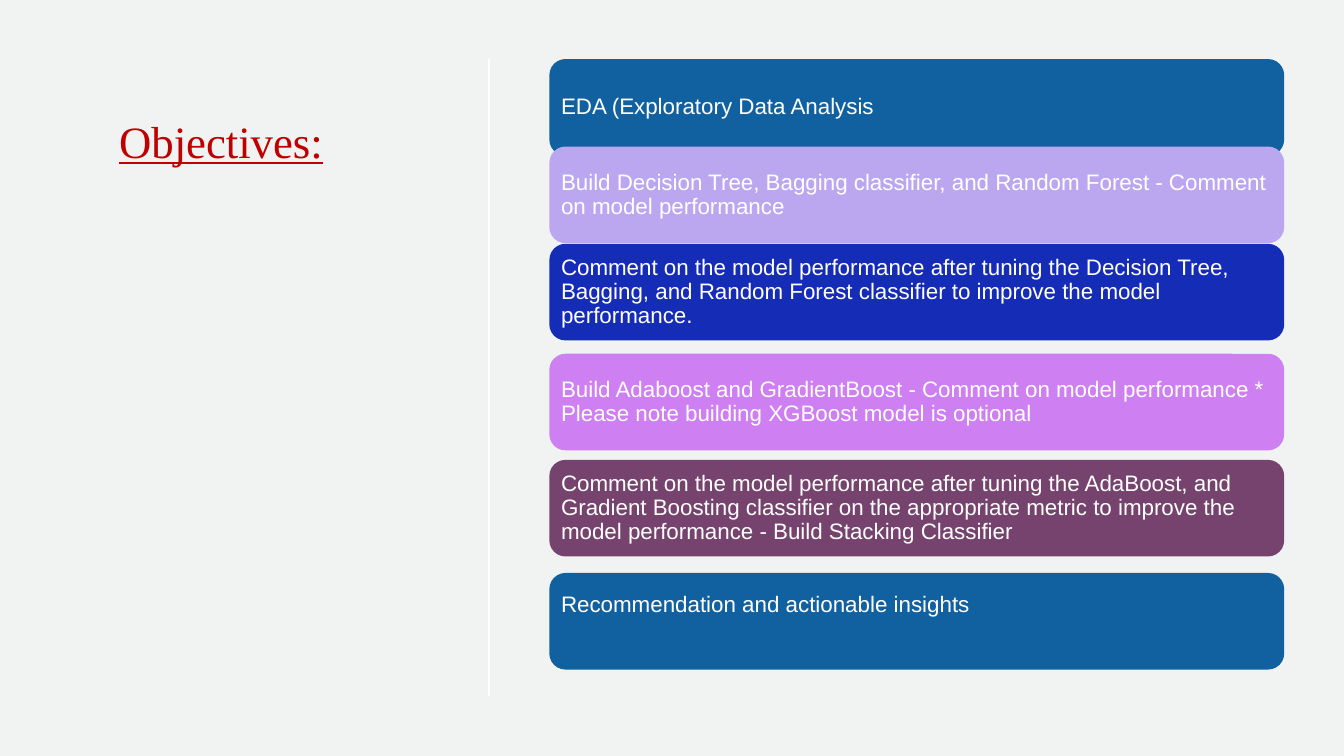
import pptx
import pptx.dml.color
import pptx.enum.shapes
import pptx.enum.text
import pptx.oxml.ns
import pptx.util
from lxml import etree

Pt = pptx.util.Pt
RGBColor = pptx.dml.color.RGBColor

BACKGROUND = RGBColor(0xF0, 0xF3, 0xF2)
WHITE = RGBColor(0xFF, 0xFF, 0xFF)
RED = RGBColor(0xC0, 0x00, 0x00)
BLUE = RGBColor(0x11, 0x61, 0xA0)
LAVENDER = RGBColor(0xBB, 0xA7, 0xF0)
ROYAL_BLUE = RGBColor(0x15, 0x2C, 0xB7)
ORCHID = RGBColor(0xCE, 0x7F, 0xF1)
PLUM = RGBColor(0x76, 0x42, 0x6E)

CARD_LEFT, CARD_WIDTH, CARD_HEIGHT = 392.4, 524.9, 69
CARD_INSET = 5
RAISED_BOTTOM_INSET = 28

# Top, fill, bottom inset, text
OBJECTIVES = [
    (42.2, BLUE, CARD_INSET, "EDA (Exploratory Data Analysis"),
    (104.7, LAVENDER, CARD_INSET,
     "Build Decision Tree, Bagging classifier, and Random Forest - "
     "Comment on model performance"),
    (174.2, ROYAL_BLUE, CARD_INSET,
     "Comment on the model performance after tuning the Decision Tree, Bagging, "
     "and Random Forest classifier to improve the model performance."),
    (252.7, ORCHID, CARD_INSET,
     "Build Adaboost and GradientBoost - Comment on model performance "
     "* Please note building XGBoost model is optional"),
    (328.5, PLUM, CARD_INSET,
     "Comment on the model performance after tuning the AdaBoost, and Gradient "
     "Boosting classifier on the appropriate metric to improve the model "
     "performance - Build Stacking Classifier"),
    (409.3, BLUE, RAISED_BOTTOM_INSET, "Recommendation and actionable insights"),
]


def format_title(title, text):
    title.left, title.top = Pt(77.8), Pt(74.9)
    title.width, title.height = Pt(220.3), Pt(369.4)
    frame = title.text_frame
    frame.text = text
    frame.margin_top = Pt(6)
    frame.vertical_anchor = pptx.enum.text.MSO_ANCHOR.TOP
    heading = frame.paragraphs[0]
    heading.alignment = pptx.enum.text.PP_ALIGN.LEFT
    heading.font.name = "Times New Roman"
    heading.font.size = Pt(32)
    heading.font.underline = True
    heading.font.color.rgb = RED


def add_divider(slide, x, top, bottom):
    divider = slide.shapes.add_connector(
        pptx.enum.shapes.MSO_CONNECTOR.STRAIGHT, Pt(x), Pt(top), Pt(x), Pt(bottom))
    divider.line.color.rgb = WHITE
    divider.line.width = Pt(1)
    properties = divider._element.spPr
    etree.SubElement(properties, pptx.oxml.ns.qn("a:effectLst"))


def add_objective(slide, top, fill, bottom_inset, text):
    card = slide.shapes.add_shape(
        pptx.enum.shapes.MSO_SHAPE.ROUNDED_RECTANGLE,
        Pt(CARD_LEFT), Pt(top), Pt(CARD_WIDTH), Pt(CARD_HEIGHT))
    card.shadow.inherit = False
    card.fill.solid()
    card.fill.fore_color.rgb = fill
    card.line.fill.background()
    frame = card.text_frame
    frame.text = text
    frame.word_wrap = True
    frame.vertical_anchor = pptx.enum.text.MSO_ANCHOR.MIDDLE
    frame.margin_left = frame.margin_right = frame.margin_top = Pt(CARD_INSET)
    frame.margin_bottom = Pt(bottom_inset)
    objective = frame.paragraphs[0]
    objective.alignment = pptx.enum.text.PP_ALIGN.LEFT
    objective.line_spacing = 0.9
    objective.font.name = "Arial"
    objective.font.size = Pt(16)
    objective.font.color.rgb = WHITE


def main():
    presentation = pptx.Presentation()
    presentation.slide_width, presentation.slide_height = Pt(960), Pt(540)
    title_only = presentation.slide_layouts[5]
    slide = presentation.slides.add_slide(title_only)
    slide.background.fill.solid()
    slide.background.fill.fore_color.rgb = BACKGROUND

    format_title(slide.shapes.title, "Objectives:")
    add_divider(slide, 349.2, 42.2, 497.5)
    for top, fill, bottom_inset, text in OBJECTIVES:
        add_objective(slide, top, fill, bottom_inset, text)
    presentation.save("out.pptx")


if __name__ == "__main__":
    main()
